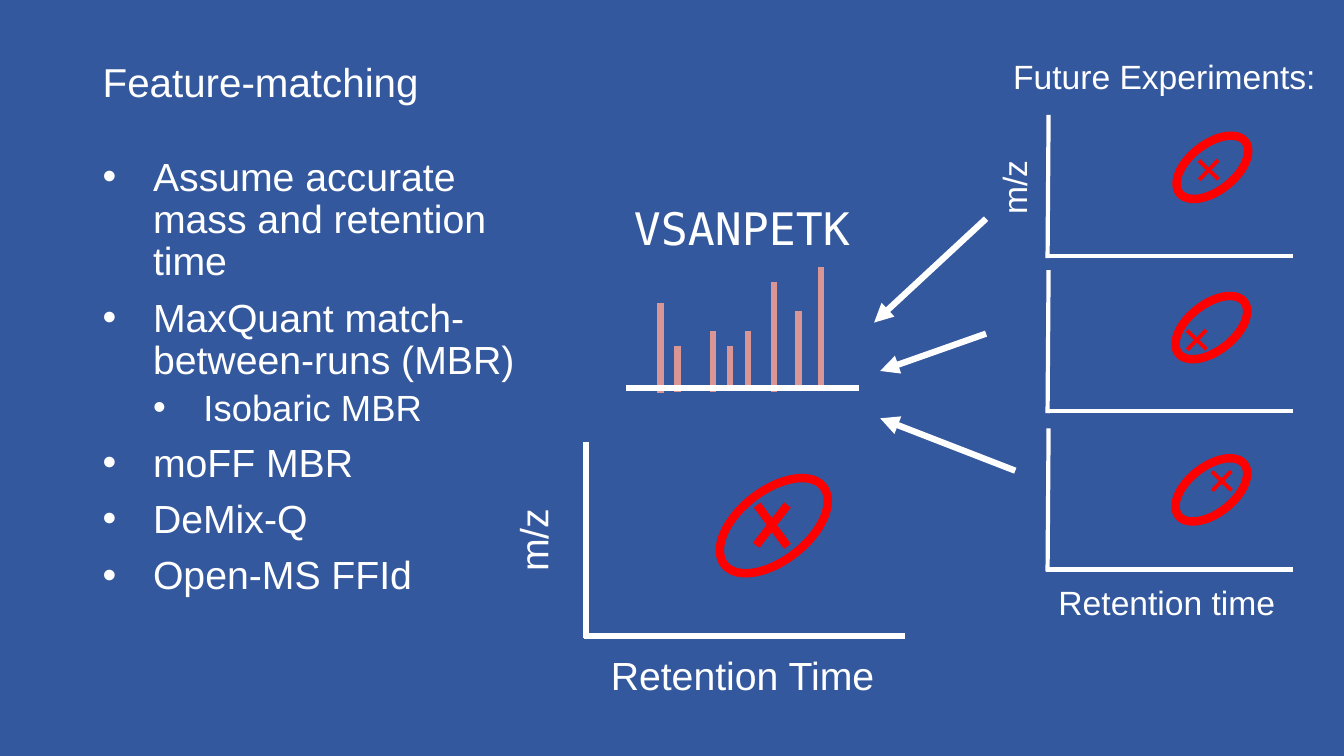
"""Build the feature-matching slide with its spectrum and retention time plots."""
from lxml import etree
from pptx import Presentation
from pptx.dml.color import RGBColor
from pptx.enum.shapes import MSO_CONNECTOR as Connector, MSO_SHAPE as Shape
from pptx.enum.text import MSO_AUTO_SIZE as AutoSize, PP_ALIGN as Align
from pptx.oxml.ns import qn
from pptx.util import Inches, Pt

BLUE, WHITE, RED, PINK = "34589D", "FFFFFF", "FF0000", "D99694"
color = RGBColor.from_string

deck = Presentation()
deck.slide_width, deck.slide_height = Inches(13.33), Inches(7.5)
page = deck.slides.add_slide(deck.slide_layouts[6])
page.background.fill.solid()
page.background.fill.fore_color.rgb = color(BLUE)


def add_line(x1, y1, x2, y2, hue=WHITE, width=4.5, arrow=False):
    line = page.shapes.add_connector(
        Connector.STRAIGHT, Inches(x1), Inches(y1), Inches(x2), Inches(y2))
    line.line.color.rgb = color(hue)
    line.line.width = Pt(width)
    if arrow:
        etree.SubElement(line.line._get_or_add_ln(), qn("a:tailEnd"), type="triangle")
    etree.SubElement(line._element.spPr, qn("a:effectLst"))


def add_label(text, left, top, width, height, size, hue=WHITE, font="Arial", turn=0, align=Align.LEFT):
    box = page.shapes.add_textbox(Inches(left), Inches(top), Inches(width), Inches(height))
    box.rotation = turn
    box.text_frame.word_wrap = False
    box.text_frame.auto_size = AutoSize.SHAPE_TO_FIT_TEXT
    para = box.text_frame.paragraphs[0]
    para.alignment = align
    span = para.add_run()
    span.text = text
    span.font.name, span.font.size = font, Pt(size)
    span.font.color.rgb = color(hue)


add_label("Feature-matching", 0.92, 0.52, 4.3, 0.55, 28.8)

bullets = [
    ("Assume accurate mass and retention time", 0),
    ("MaxQuant match-between-runs (MBR)", 0),
    ("Isobaric MBR", 1),
    ("moFF MBR", 0),
    ("DeMix-Q", 0),
    ("Open-MS FFId", 0),
]
body = page.shapes.add_textbox(Inches(0.92), Inches(1.51), Inches(4.3), Inches(5.08)).text_frame
body.word_wrap = True
for index, (text, level) in enumerate(bullets):
    para = body.add_paragraph() if index else body.paragraphs[0]
    props = para._p.get_or_add_pPr()
    props.set("marL", str(Inches(0.5 + 0.5 * level)))
    props.set("indent", str(Inches(-0.5)))
    etree.SubElement(props, qn("a:buFont"), typeface="Arial")
    etree.SubElement(props, qn("a:buChar"), char="•")
    para.level = level
    para.line_spacing = 0.9
    if index:
        para.space_before = Pt(5 if level else 10)
    span = para.add_run()
    span.text = text
    span.font.name, span.font.size = "Arial", Pt(26 if level else 28)
    span.font.color.rgb = color(WHITE)

peaks = [(6.55, 3.9, 3.01), (6.72, 3.89, 3.43), (7.07, 3.89, 3.28), (7.24, 3.87, 3.43),
         (7.42, 3.87, 3.28), (7.68, 3.89, 2.8), (7.92, 3.87, 3.09), (8.14, 3.87, 2.65)]
for x, bottom, top in peaks:
    add_line(x, bottom, x, top, PINK)
add_line(6.21, 3.85, 8.52, 3.85)
add_label("VSANPETK", 6.18, 1.94, 2.36, 0.64, 32, font="DejaVu Sans Mono", align=Align.CENTER)

add_line(5.79, 6.31, 8.98, 6.31)
add_line(5.81, 6.33, 5.81, 4.39)
add_label("Retention Time", 5.96, 6.41, 2.85, 0.57, 28)
add_label("m/z", 4.87, 5.07, 0.83, 0.57, 28, turn=270)
add_line(7.51, 5.01, 7.81, 5.42, RED, 6)
add_line(7.5, 5.41, 7.81, 5.01, RED, 6)

for x1, y1, x2, y2 in [(9.78, 2.17, 8.67, 3.2), (9.78, 3.31, 8.73, 3.68), (10.07, 4.67, 8.73, 4.15)]:
    add_line(x1, y1, x2, y2, arrow=True)

add_label("Future Experiments:", 9.95, 0.51, 3.23, 0.5, 24)
add_label("m/z", 9.69, 1.6, 0.74, 0.51, 24, turn=270)
add_label("Retention time", 10.4, 5.72, 2.37, 0.5, 24)

ellipses = [(7.05, 4.87, 1.25, 0.69), (11.61, 1.43, 0.83, 0.46),
            (11.6, 3.02, 0.83, 0.46), (11.6, 4.63, 0.83, 0.46)]
for place in ellipses:
    ellipse = page.shapes.add_shape(Shape.OVAL, *map(Inches, place))
    ellipse.rotation = 321.8
    ellipse.shadow.inherit = False
    ellipse.fill.background()
    ellipse.line.color.rgb = color(RED)
    ellipse.line.width = Pt(6)

for axis, plus_left, plus_top in [(2.54, 11.76, 1.28), (4.08, 11.64, 2.97), (5.65, 11.88, 4.37)]:
    add_line(10.37, axis, 12.82, axis, width=3)
    add_line(10.39, axis + 0.02, 10.4, axis - 1.4, width=3)
    add_label("+", plus_left, plus_top, 0.53, 0.77, 40, RED, turn=43.9)

deck.save("out.pptx")
